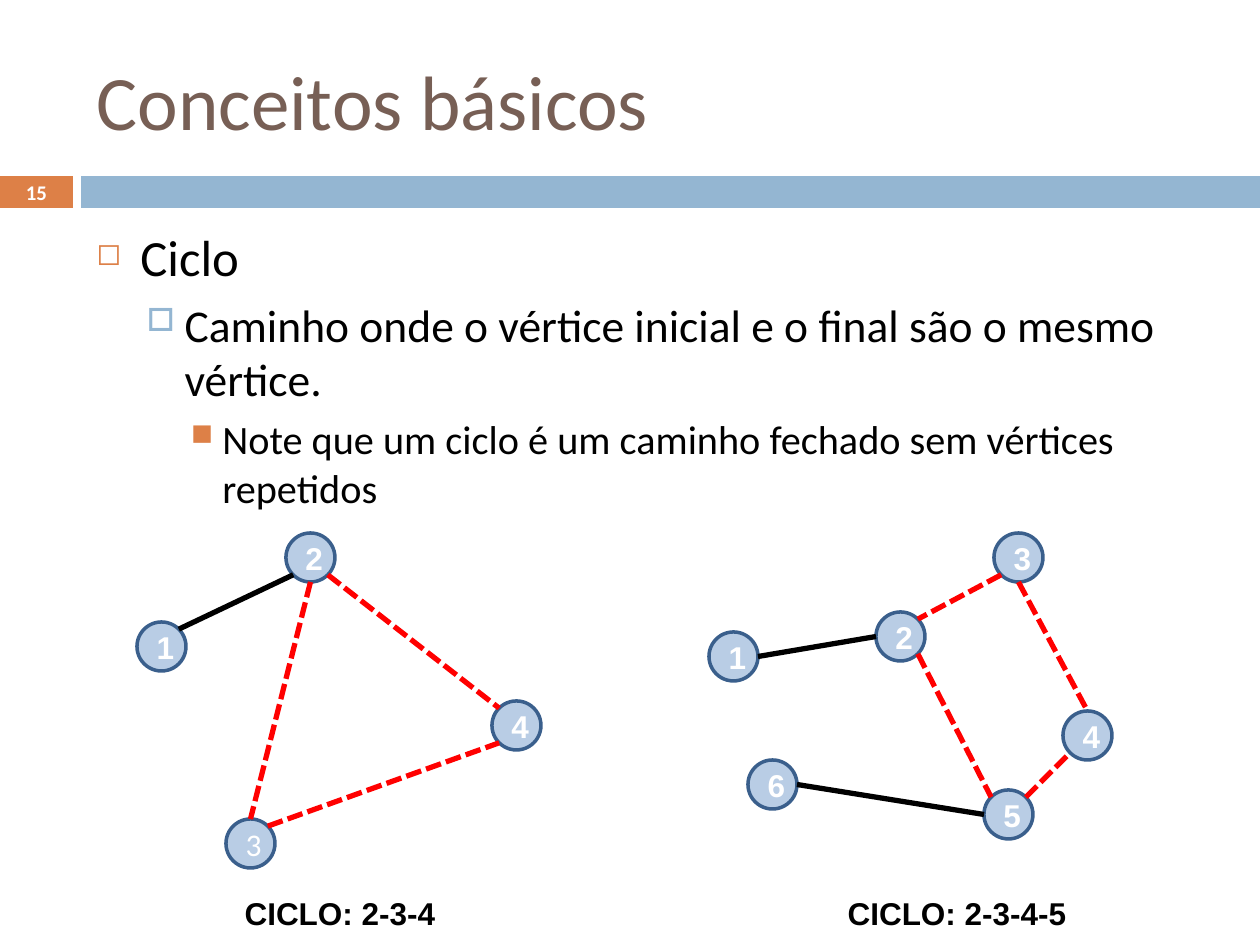
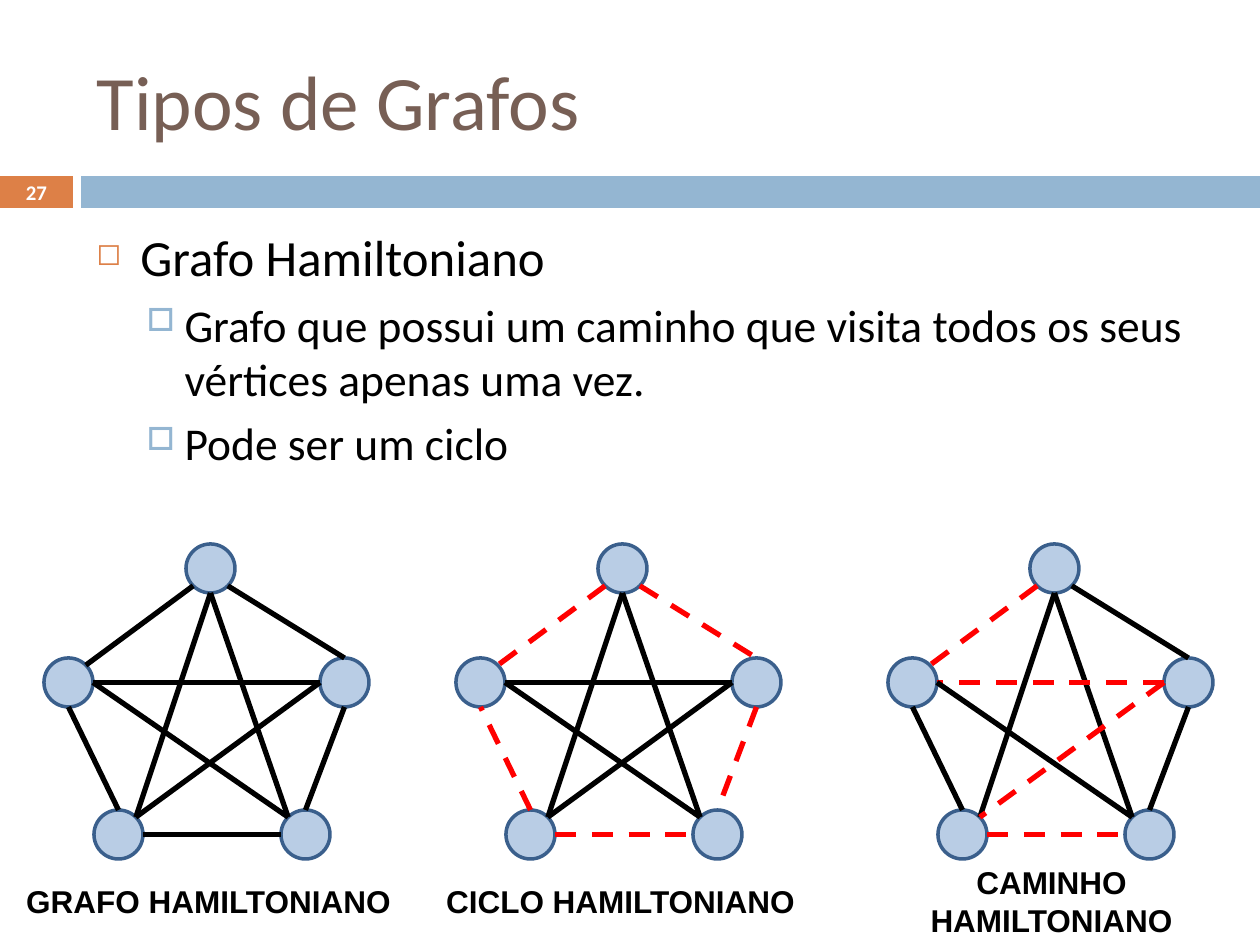
import math

from lxml import etree
from pptx import Presentation
from pptx import util as u
from pptx.dml.color import RGBColor
from pptx.enum import dml, shapes, text
from pptx.oxml.ns import qn

PX = u.Inches(1) / 126
ORANGE, BLUE, BROWN = "DD8047", "94B6D2", "775F55"
WHITE, BLACK, RED = "FFFFFF", "000000", "FF0000"
NODE_FILL, NODE_LINE = "B9CDE5", "3A5F8C"
NODE_SIZE = 49
CENTER = text.PP_ALIGN.CENTER
MIDDLE = text.MSO_ANCHOR.MIDDLE

BULLETS = [
    dict(size=29, margin=0.35, hang=0.35, space=7, char="◻", color=ORANGE, percent=60),
    dict(size=26, margin=0.7, hang=0.3, space=5.5, char="□", color=BLUE, percent=70),
    dict(size=23, margin=1, hang=0.25, space=5, char="■", color=ORANGE, percent=75),
]

TOP, TOP_LEFT, LEFT, BOTTOM_LEFT, BOTTOM, BOTTOM_RIGHT, RIGHT, TOP_RIGHT = range(8)

TRIANGLE_NODES = {"1": (137, 622), "2": (286, 533), "3": (226, 819), "4": (492, 701)}
TRIANGLE_EDGES = [
    ("1", TOP_RIGHT, "2", BOTTOM_LEFT),
    ("2", BOTTOM_RIGHT, "4", TOP_LEFT),
    ("3", TOP_RIGHT, "4", BOTTOM_LEFT),
    ("2", BOTTOM, "3", TOP),
]
SQUARE_NODES = {
    "1": (709, 632), "2": (876, 612), "3": (994, 533),
    "4": (1063, 711), "5": (984, 790), "6": (748, 760),
}
SQUARE_EDGES = [
    ("1", RIGHT, "2", LEFT),
    ("3", BOTTOM_LEFT, "2", TOP_RIGHT),
    ("3", BOTTOM, "4", TOP),
    ("5", TOP_RIGHT, "4", BOTTOM_LEFT),
    ("2", BOTTOM_RIGHT, "5", TOP_LEFT),
    ("6", RIGHT, "5", LEFT),
]
PENTAGON_NODES = {"A": (142, 544), "B": (276, 658), "C": (237, 810), "D": (50, 810), "E": (0, 658)}
PENTAGON_EDGES = [
    ("A", BOTTOM_RIGHT, "B", TOP),
    ("A", BOTTOM_LEFT, "E", TOP_RIGHT),
    ("D", RIGHT, "C", LEFT),
    ("D", TOP, "E", BOTTOM),
    ("B", BOTTOM, "C", TOP),
    ("A", BOTTOM, "D", TOP_RIGHT),
    ("A", BOTTOM, "C", TOP_LEFT),
    ("B", LEFT, "E", RIGHT),
    ("B", LEFT, "D", TOP_RIGHT),
    ("C", TOP_LEFT, "E", RIGHT),
]


def px(*lengths):
    return [round(length * PX) for length in lengths]


def rgb(color):
    return RGBColor.from_string(color)


def write(paragraph, content, size=18, font="Arial", color=BLACK, bold=False, align=None):
    run = paragraph.add_run()
    run.text = content
    run.font.size = u.Pt(size)
    run.font.name = font
    run.font.color.rgb = rgb(color)
    run.font.bold = bold
    paragraph.alignment = align


def add_text_box(slide, box):
    shape = slide.shapes.add_textbox(*px(*box))
    shape.text_frame.word_wrap = True
    return shape.text_frame


def add_label(slide, box, content):
    write(add_text_box(slide, box).paragraphs[0], content, bold=True, align=CENTER)


def add_band(slide, box, color):
    shape = slide.shapes.add_shape(shapes.MSO_SHAPE.RECTANGLE, *px(*box))
    shape.shadow.inherit = False
    shape.fill.solid()
    shape.fill.fore_color.rgb = rgb(color)
    shape.line.fill.background()


def set_bullet(paragraph, style):
    properties = paragraph._p.get_or_add_pPr()
    properties.set("marL", str(u.Inches(style["margin"])))
    properties.set("indent", str(-u.Inches(style["hang"])))
    color = etree.SubElement(properties, qn("a:buClr"))
    etree.SubElement(color, qn("a:srgbClr"), val=style["color"])
    etree.SubElement(properties, qn("a:buSzPct"), val=str(style["percent"] * 1000))
    etree.SubElement(properties, qn("a:buChar"), char=style["char"])


def add_body(slide, items):
    frame = add_text_box(slide, (84, 220, 1124, 620))
    for index, (level, content) in enumerate(items):
        style = BULLETS[level]
        paragraph = frame.add_paragraph() if index else frame.paragraphs[0]
        set_bullet(paragraph, style)
        paragraph.level = level
        if index:
            paragraph.space_before = u.Pt(style["space"])
        write(paragraph, content, size=style["size"], font="Calibri")


def add_page(presentation, title, number, items):
    slide = presentation.slides.add_slide(presentation.slide_layouts[5])
    add_band(slide, (0, 176, 73, 32), ORANGE)
    add_band(slide, (81, 176, 1179, 32), BLUE)
    shape = slide.shapes.title
    shape.left, shape.top, shape.width, shape.height = px(84, 32, 1124, 136)
    frame = shape.text_frame
    frame.auto_size = text.MSO_AUTO_SIZE.NONE
    frame.vertical_anchor = MIDDLE
    write(frame.paragraphs[0], title, size=44, font="Calibri", color=BROWN,
          align=text.PP_ALIGN.LEFT)
    frame = add_text_box(slide, (0, 175, 73, 34))
    frame.vertical_anchor = MIDDLE
    write(frame.paragraphs[0], number, size=11.9, font="Calibri", color=WHITE,
          bold=True, align=CENTER)
    add_body(slide, items)
    return slide


def add_node(slide, left, top):
    shape = slide.shapes.add_shape(shapes.MSO_SHAPE.OVAL, *px(left, top, NODE_SIZE, NODE_SIZE))
    shape.shadow.inherit = False
    shape.fill.solid()
    shape.fill.fore_color.rgb = rgb(NODE_FILL)
    shape.line.color.rgb = rgb(NODE_LINE)
    shape.line.width = u.Pt(2)
    return shape


def site_point(node, site):
    angle = math.radians(90 + 45 * site)
    radius = node.width / 2
    return (round(node.left + radius + radius * math.cos(angle)),
            round(node.top + radius - radius * math.sin(angle)))


def add_edge(slide, start, start_site, end, end_site, dash):
    connector = slide.shapes.add_connector(
        shapes.MSO_CONNECTOR.STRAIGHT, *site_point(start, start_site), *site_point(end, end_site))
    connector.line.width = u.Pt(3)
    connector.line.color.rgb = rgb(RED if dash else BLACK)
    if dash:
        connector.line.dash_style = dash
    element = connector._element
    etree.SubElement(element.spPr, qn("a:effectLst"))
    joints = element.find(".//" + qn("p:cNvCxnSpPr"))
    for tag, node, site in (("a:stCxn", start, start_site), ("a:endCxn", end, end_site)):
        etree.SubElement(joints, qn(tag), id=str(node.shape_id), idx=str(site))


def add_graph(slide, places, edges, marked, dash, left=0):
    nodes = {name: add_node(slide, left + x, y) for name, (x, y) in places.items()}
    for start, start_site, end, end_site in edges:
        add_edge(slide, nodes[start], start_site, nodes[end], end_site,
                 dash if start + end in marked else None)
    return nodes


def number_nodes(nodes, plain=""):
    for name, node in nodes.items():
        node.text_frame.vertical_anchor = MIDDLE
        is_plain = name == plain
        write(node.text_frame.paragraphs[0], name, font="Calibri" if is_plain else "Arial",
              color=WHITE, bold=not is_plain, align=CENTER)


def add_cycles(presentation):
    slide = add_page(presentation, "Conceitos básicos", "15", [
        (0, "Ciclo"),
        (1, "Caminho onde o vértice inicial e o final são o mesmo vértice."),
        (2, "Note que um ciclo é um caminho fechado sem vértices repetidos"),
    ])
    dash = dml.MSO_LINE.SQUARE_DOT
    triangle = add_graph(slide, TRIANGLE_NODES, TRIANGLE_EDGES, ("24", "34", "23"), dash)
    number_nodes(triangle, plain="3")
    add_label(slide, (207, 888, 266, 50), "CICLO: 2-3-4")
    square = add_graph(slide, SQUARE_NODES, SQUARE_EDGES, ("32", "34", "54", "25"), dash)
    number_nodes(square)
    add_label(slide, (819, 888, 276, 50), "CICLO: 2-3-4-5")


def add_hamiltonian(presentation):
    slide = add_page(presentation, "Tipos de Grafos", "27", [
        (0, "Grafo Hamiltoniano"),
        (1, "Grafo que possui um caminho que visita todos os seus vértices apenas uma vez."),
        (1, "Pode ser um ciclo"),
    ])
    graphs = [
        (44, (), (5, 876, 407, 50), "GRAFO HAMILTONIANO"),
        (456, ("AB", "AE", "DC", "DE", "BC"), (417, 876, 407, 50), "CICLO HAMILTONIANO"),
        (888, ("AE", "DC", "BE", "BD"), (848, 857, 407, 89), "CAMINHO HAMILTONIANO"),
    ]
    for left, marked, box, label in graphs:
        add_graph(slide, PENTAGON_NODES, PENTAGON_EDGES, marked, dml.MSO_LINE.DASH, left)
        add_label(slide, box, label)


def main():
    presentation = Presentation()
    presentation.slide_width, presentation.slide_height = px(1260, 945)
    add_cycles(presentation)
    add_hamiltonian(presentation)
    presentation.save("out.pptx")


if __name__ == "__main__":
    main()
